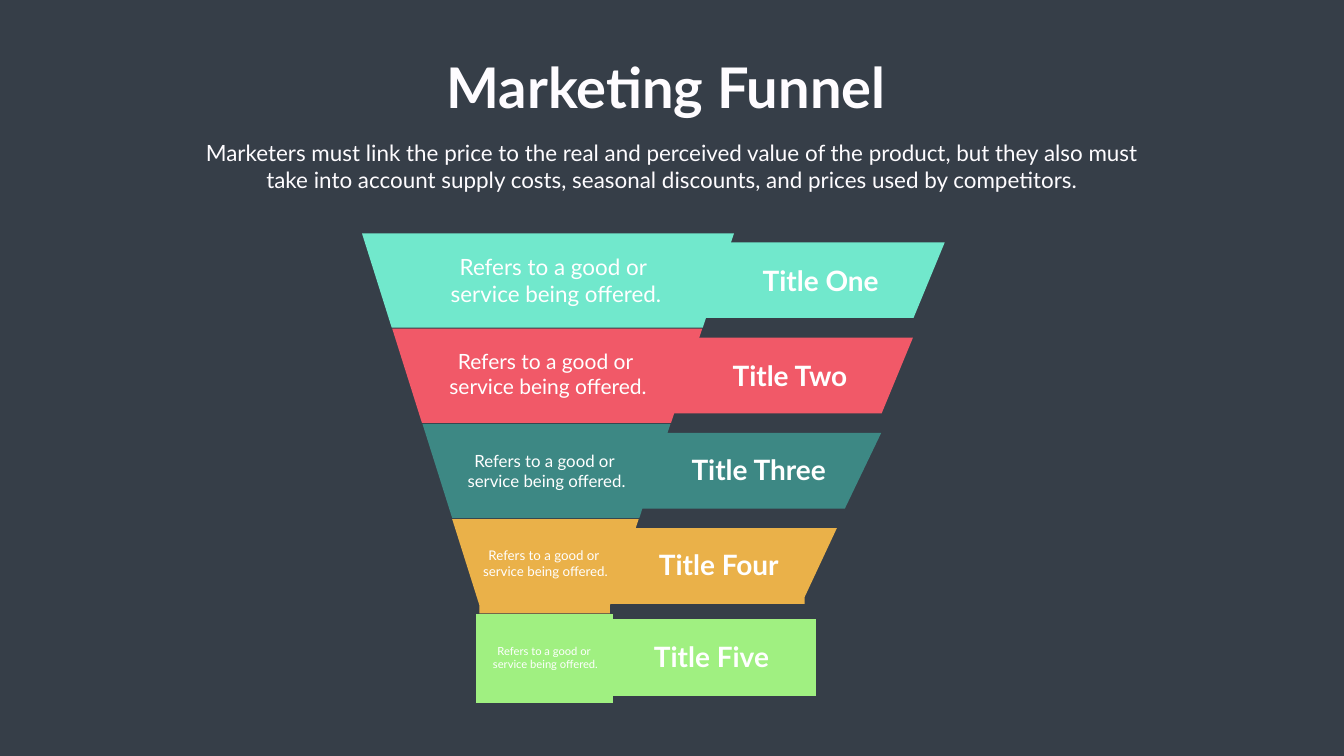
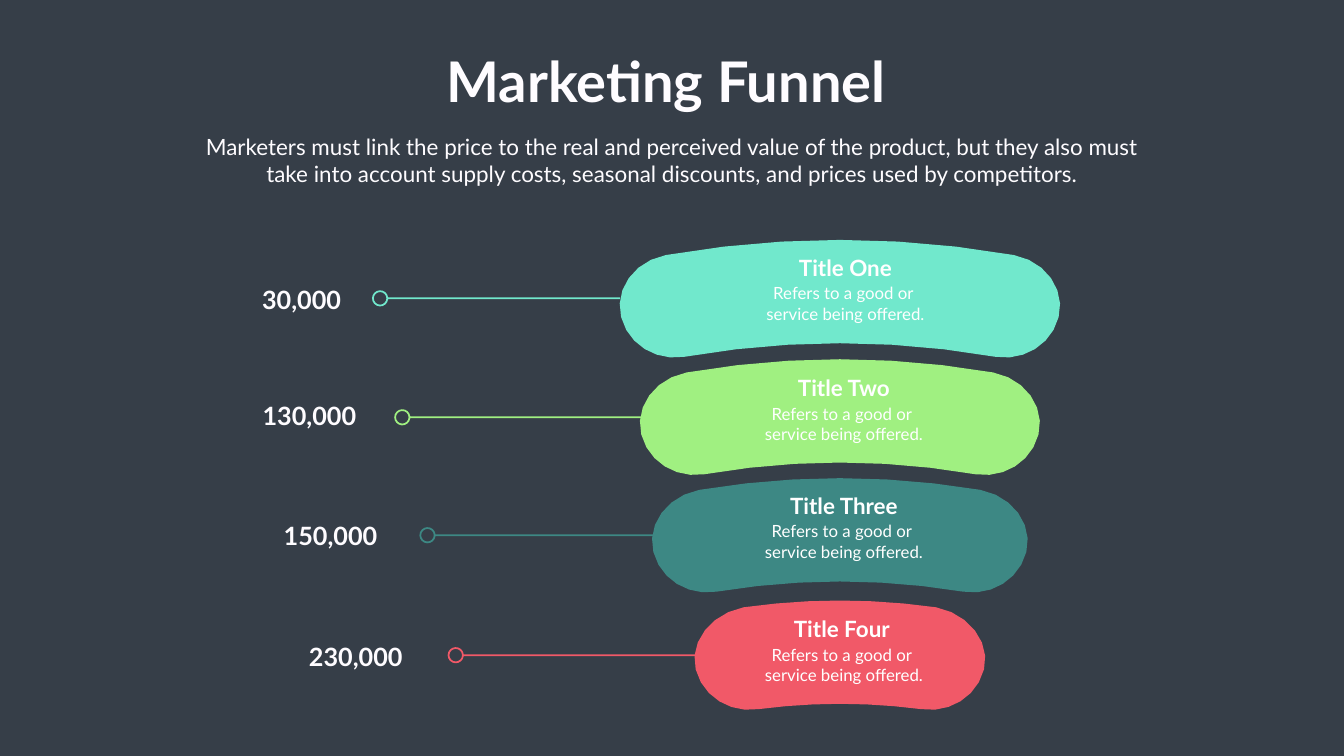
from dataclasses import dataclass
from math import asin, cos, pi, sin

from pptx import Presentation
from pptx.dml.color import RGBColor
from pptx.enum.text import MSO_ANCHOR, MSO_AUTO_SIZE, PP_ALIGN
from pptx.util import Inches, Pt

TOP = MSO_ANCHOR.TOP
FIXED = MSO_AUTO_SIZE.NONE
LEFT, CENTER = PP_ALIGN.LEFT, PP_ALIGN.CENTER

COLUMNS, ROWS = 26.66, 15
CELL = Inches(1)
TITLE_ONLY = 5


@dataclass(frozen=True)
class Theme:
    font: str = "Lato"
    background: str = "363E48"
    heading: str = "FEFCFF"
    label: str = "FFFFFF"
    mint: str = "71E8CC"
    coral: str = "F15968"
    teal: str = "3D8884"
    amber: str = "EAB149"
    lime: str = "A0F081"
    title_size: int = 80
    intro_size: int = 32
    stage_size: int = 40
    figure_size: int = 36
    pill_title_size: int = 32
    pill_caption_size: int = 24


THEME = Theme()
TITLE = "Marketing Funnel"
INTRO = (
    "Marketers must link the price to the real and perceived value of the product, "
    "but they also must take into account supply costs, seasonal discounts, "
    "and prices used by competitors."
)
CAPTION = "Refers to a good or \nservice being offered."


def cells(count):
    return round(count * CELL)


def rgb(value):
    return RGBColor.from_string(value)


def text_height(size, lines=1):
    return lines * size / 60 + 0.1


def write(box, text, size, color, bold=False, align=CENTER, wrap=False):
    frame = box.text_frame
    frame.text = text
    frame.word_wrap = wrap
    frame.auto_size = FIXED
    frame.vertical_anchor = TOP
    for paragraph in frame.paragraphs:
        paragraph.alignment = align
        for run in paragraph.runs:
            run.font.name = THEME.font
            run.font.size = Pt(size)
            run.font.bold = bold
            run.font.color.rgb = rgb(color)


def add_label(slide, text, left, top, width, size, color=THEME.label, lines=1, **style):
    box = slide.shapes.add_textbox(
        cells(left), cells(top), cells(width), cells(text_height(size, lines))
    )
    write(box, text, size, color, **style)


def add_centred_label(slide, text, center, top, width, size, **style):
    add_label(slide, text, center - width / 2, top, width, size, **style)


def add_caption(slide, center, top, size):
    width = 0.133 * size + 0.2
    add_centred_label(slide, CAPTION, center, top, width, size, lines=2)


def add_outline(slide, color, *contours):
    first, *others = [[(cells(x), cells(y)) for x, y in contour] for contour in contours]
    builder = slide.shapes.build_freeform(*first[0], scale=1)
    builder.add_line_segments(first[1:], close=True)
    for contour in others:
        builder.move_to(*contour[0])
        builder.add_line_segments(contour[1:], close=True)
    outline = builder.convert_to_shape()
    outline.shadow.inherit = False
    outline.fill.solid()
    outline.fill.fore_color.rgb = rgb(color)
    outline.line.fill.background()


def add_tapered_band(slide, upper, lower, top, height, color, neck=0):
    bottom = top + height
    points = [(upper[0], top), (upper[1], top), (lower[1], bottom - neck)]
    if neck:
        points += [(lower[1], bottom), (lower[0], bottom)]
    points.append((lower[0], bottom - neck))
    add_outline(slide, color, points)


def bezier(start, first, second, end, steps=6):
    def at(t):
        weights = ((1 - t) ** 3, 3 * t * (1 - t) ** 2, 3 * t * t * (1 - t), t**3)
        return tuple(
            sum(w * p[axis] for w, p in zip(weights, (start, first, second, end)))
            for axis in (0, 1)
        )

    return [at(step / steps) for step in range(steps + 1)]


def add_pill(slide, center, side, shoulder, middle, rise, color):
    foot = side - 1.25
    shoulder_y, foot_y = middle - 1.23, middle + 0.79
    crown_y, arch_y = shoulder_y - rise, foot_y - rise + 0.04
    crown = bezier(
        (-shoulder, shoulder_y), (-shoulder / 3, crown_y),
        (shoulder / 3, crown_y), (shoulder, shoulder_y),
    )
    upper_end = bezier(
        (shoulder, shoulder_y), (shoulder + 0.64, shoulder_y + 0.12),
        (side + 0.14, middle - 0.54), (side, middle),
    )
    lower_end = bezier(
        (side, middle), (side - 0.14, middle + 0.55),
        (foot + 0.56, foot_y + 0.09), (foot, foot_y),
    )
    arch = bezier((foot, foot_y), (foot / 3, arch_y), (-foot / 3, arch_y), (-foot, foot_y))
    right_end = upper_end + lower_end[1:]
    left_end = [(-x, y) for x, y in reversed(right_end)]
    points = crown[1:-1] + right_end + arch[1:-1] + left_end
    add_outline(slide, color, [(center + x, y) for x, y in points])


def arc(x, y, radius, start, end, steps=16):
    angles = [start + (end - start) * step / steps for step in range(steps + 1)]
    return [(x + radius * cos(angle), y + radius * sin(angle)) for angle in angles]


def add_leader(slide, ring_x, ring_y, color):
    outer, inner, half_stem, reach = 0.16, 0.125, 0.018, 4.76
    gap = asin(half_stem / outer)
    tip = ring_x + reach
    hole = arc(ring_x, ring_y, inner, 2 * pi, 0)[:-1]
    ring = arc(ring_x, ring_y, outer, gap, 2 * pi - gap)
    stem = [(tip, ring_y - half_stem), (tip, ring_y + half_stem)]
    add_outline(slide, color, hole, ring + stem)


def add_headed_slide(deck, top):
    slide = deck.slides.add_slide(deck.slide_layouts[TITLE_ONLY])
    heading = slide.shapes.title
    heading.left, heading.top = cells(8.65), cells(top)
    heading.width, heading.height = cells(9.13), cells(text_height(THEME.title_size))
    write(heading, TITLE, THEME.title_size, THEME.heading, bold=True)
    add_label(slide, INTRO, 3.79, top + 1.73, 19.08, THEME.intro_size,
              color=THEME.heading, lines=2, wrap=True)
    return slide


def build_stage_funnel(deck):
    slide = add_headed_slide(deck, 0.99)
    first_top, pitch, panel_height, flap_inset, flap_height = 4.63, 1.89, 1.87, 0.18, 1.5
    colors = (THEME.mint, THEME.coral, THEME.teal, THEME.amber)
    flaps = (
        ((11.35, 18.74), (11.95, 18.12), 0),
        ((11.95, 18.11), (12.55, 17.49), 0),
        ((11.75, 17.48), (12.44, 16.76), 0),
        ((11.07, 16.6), (11.91, 15.96), 0.13),
    )
    panels = (
        ((7.18, 14.56), (7.77, 13.94), 0),
        ((7.78, 13.93), (8.37, 13.31), 0),
        ((8.38, 13.3), (8.97, 12.68), 0),
        ((8.97, 12.67), (9.51, 12.1), 0.16),
    )
    for bands, inset, height in ((flaps, flap_inset, flap_height), (panels, 0, panel_height)):
        for row, ((upper, lower, neck), color) in enumerate(zip(bands, colors)):
            top = first_top + row * pitch + inset
            add_tapered_band(slide, upper, lower, top, height, color, neck)
    for sides, top, height in (((12.1, 16.19), 12.29, 1.51), ((9.44, 12.16), 12.18, 1.76)):
        add_tapered_band(slide, sides, sides, top, height, THEME.lime)

    stages = (
        ("Title One", 16.28, 5.18, 2.54, 11.03, 4.97, 32),
        ("Title Two", 15.67, 7.07, 2.58, 10.87, 6.86, 30),
        ("Title Three", 15.05, 8.93, 2.93, 10.84, 8.89, 24),
        ("Title Four ", 14.32, 10.81, 2.77, 10.82, 10.81, 19),
        ("Title Five ", 14.18, 12.64, 2.66, 10.82, 12.73, 16),
    )
    for stage, center, top, width, caption_center, caption_top, caption_size in stages:
        add_caption(slide, caption_center, caption_top, caption_size)
        add_centred_label(slide, stage, center, top, width, THEME.stage_size, bold=True)


def build_figure_funnel(deck):
    slide = add_headed_slide(deck, 0.87)
    axis = 16.66
    leaders = (
        ("30,000", 5.1, 5.6, 1.78, 7.54, 5.92),
        ("130,000", 5.11, 7.9, 2.08, 7.98, 8.28),
        ("150,000", 5.53, 10.28, 2.08, 8.48, 10.62),
        ("230,000", 6.03, 12.67, 2.08, 9.04, 13),
    )
    pills = (
        (4.34, 3.45, 6.29, 0.4),
        (3.94, 3.04, 8.62, 0.35),
        (3.7, 2.79, 10.95, 0.31),
        (2.86, 1.91, 13.28, 0.18),
    )
    titles = (
        ("Title One", 16.77, 4.99, 2.07, 16.77, 5.57),
        ("Title Two", 16.74, 7.38, 2.1, 16.74, 7.96),
        ("Title Three", 16.74, 9.71, 2.38, 16.74, 10.29),
        ("Title Four", 16.7, 12.15, 2.14, 16.74, 12.74),
    )
    colors = (THEME.mint, THEME.lime, THEME.teal, THEME.coral)
    for leader, pill, heading, color in zip(leaders, pills, titles, colors):
        figure, left, figure_top, figure_width, ring_x, ring_y = leader
        title, center, top, width, caption_center, caption_top = heading
        add_leader(slide, ring_x, ring_y, color)
        add_pill(slide, axis, *pill, color)
        add_caption(slide, caption_center, caption_top, THEME.pill_caption_size)
        add_centred_label(slide, title, center, top, width, THEME.pill_title_size, bold=True)
        add_label(slide, figure, left, figure_top, figure_width, THEME.figure_size,
                  color=THEME.heading, bold=True, align=LEFT)


def main():
    deck = Presentation()
    deck.slide_width, deck.slide_height = cells(COLUMNS), cells(ROWS)
    backdrop = deck.slide_master.background.fill
    backdrop.solid()
    backdrop.fore_color.rgb = rgb(THEME.background)
    build_stage_funnel(deck)
    build_figure_funnel(deck)
    deck.save("out.pptx")


if __name__ == "__main__":
    main()
